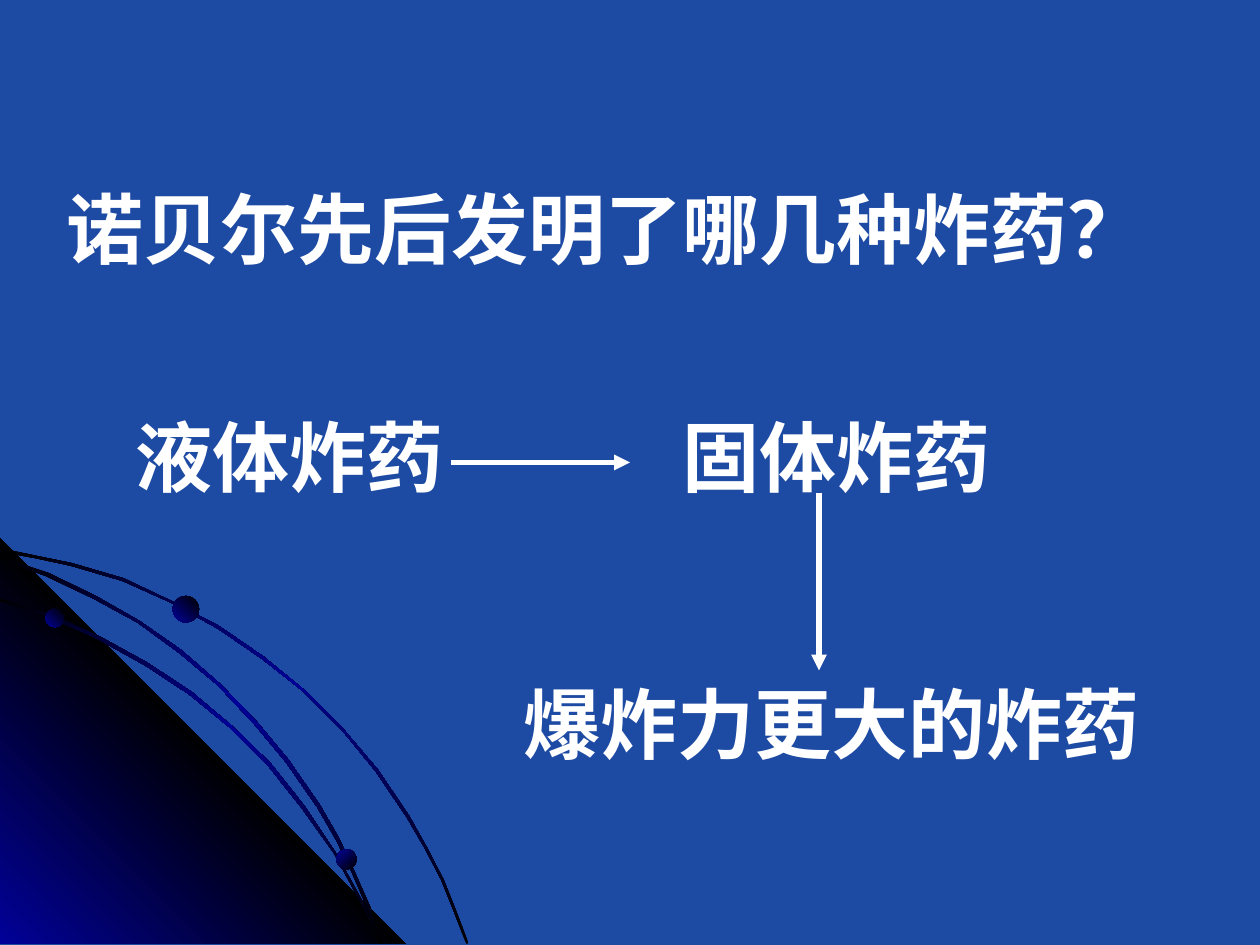
from dataclasses import dataclass

from lxml.etree import SubElement
from pptx import Presentation
from pptx.dml.color import RGBColor as Color
from pptx.enum.shapes import MSO_CONNECTOR as Connector, MSO_SHAPE as Shape
from pptx.enum.text import MSO_AUTO_SIZE as AutoSize
from pptx.oxml.ns import qn
from pptx.util import Inches, Pt

Point = tuple[float, float]


@dataclass(frozen=True)
class Theme:
    background: str = "1D4AA3"
    ink: str = "FFFFFF"
    dark: str = "000000"
    glow: str = "010199"
    cjk_font: str = "Noto Sans CJK SC"
    latin_font: str = "Arial"
    text_size: int = 44
    arrow_width: int = 3


@dataclass(frozen=True)
class Gradient:
    colors: tuple[str, ...]
    angle: int


@dataclass(frozen=True)
class Outline:
    points: tuple[Point, ...]
    gradient: Gradient


@dataclass(frozen=True)
class Ball:
    left: float
    top: float
    size: float
    angle: int


@dataclass(frozen=True)
class Label:
    text: str
    left: float
    top: float
    width: float
    font: str


@dataclass(frozen=True)
class Arrow:
    start: Point
    end: Point


THEME = Theme()
LABEL_HEIGHT = 0.84
ARC = Gradient((THEME.dark, THEME.glow, THEME.dark), 225)
CORNER = Gradient((THEME.glow, THEME.dark, THEME.glow), 135)

OUTLINES = (
    Outline((
        (0.57, 4.47), (0.28, 4.41), (0, 4.35), (0, 4.38), (0.28, 4.43), (0.56, 4.49),
        (0.97, 4.61), (1.35, 4.78), (1.73, 4.99), (2.08, 5.23), (2.41, 5.49),
        (2.71, 5.79), (2.98, 6.12), (3.23, 6.49), (3.37, 6.73), (3.5, 6.98),
        (3.6, 7.23), (3.7, 7.49), (3.72, 7.49), (3.62, 7.23), (3.52, 6.98),
        (3.39, 6.73), (3.25, 6.48), (3, 6.11), (2.72, 5.78), (2.42, 5.48),
        (2.09, 5.21), (1.74, 4.97), (1.36, 4.77), (0.98, 4.59),
    ), ARC),
    Outline(((3.22, 7.49), (0, 7.49), (0, 4.27)), CORNER),
    Outline((
        (2.85, 7.14), (2.94, 7.32), (3.01, 7.49), (3.03, 7.49), (2.96, 7.3),
        (2.86, 7.12), (2.66, 6.76), (2.42, 6.4), (2.15, 6.06), (1.84, 5.76),
        (1.52, 5.49), (1.17, 5.26), (0.79, 5.05), (0.41, 4.88), (0, 4.75), (0, 4.77),
        (0.39, 4.9), (0.77, 5.07), (1.15, 5.28), (1.5, 5.51), (1.83, 5.78),
        (2.13, 6.08), (2.4, 6.42), (2.65, 6.77),
    ), ARC),
    Outline((
        (0, 4.42), (0, 4.44), (0.36, 4.57), (0.74, 4.75), (1.09, 4.94), (1.42, 5.18),
        (1.73, 5.44), (2.02, 5.75), (2.27, 6.05), (2.52, 6.41), (2.67, 6.67),
        (2.8, 6.94), (2.92, 7.22), (3.01, 7.49), (3.03, 7.49), (2.94, 7.2),
        (2.82, 6.93), (2.69, 6.65), (2.54, 6.39), (2.29, 6.03), (2.04, 5.73),
        (1.75, 5.43), (1.44, 5.16), (1.11, 4.93), (0.76, 4.73), (0.39, 4.55),
    ), ARC),
)
BALLS = (
    Ball(0.36, 4.83, 0.15, 135),
    Ball(2.67, 6.74, 0.16, 225),
    Ball(1.37, 4.73, 0.21, 135),
)
LABELS = (
    Label("诺贝尔先后发明了哪几种炸药？", 0.43, 1.39, 8.98, THEME.cjk_font),
    Label("液体炸药", 0.98, 3.2, 3.07, THEME.latin_font),
    Label("固体炸药", 5.32, 3.2, 2.7, THEME.latin_font),
    Label("爆炸力更大的炸药", 4.06, 5.32, 5.15, THEME.latin_font),
)
ARROWS = (Arrow((3.58, 3.67), (5, 3.67)), Arrow((6.5, 3.91), (6.5, 5.32)))


def paint(shape, gradient: Gradient) -> None:
    shape.shadow.inherit = False
    shape.line.fill.background()
    shape.fill.gradient()
    fill = shape.fill._fill._gradFill
    for child in list(fill):
        fill.remove(child)
    stops = SubElement(fill, qn("a:gsLst"))
    for index, color in enumerate(gradient.colors):
        position = 100000 * index // (len(gradient.colors) - 1)
        stop = SubElement(stops, qn("a:gs"), pos=str(position))
        SubElement(stop, qn("a:srgbClr"), val=color)
    SubElement(fill, qn("a:lin"), ang=str(gradient.angle * 60000), scaled="0")


def draw_outline(page, outline: Outline) -> None:
    points = [(Inches(x), Inches(y)) for x, y in outline.points]
    builder = page.shapes.build_freeform(*points[0])
    builder.add_line_segments(points[1:], close=True)
    paint(builder.convert_to_shape(), outline.gradient)


def draw_ball(page, ball: Ball) -> None:
    size = Inches(ball.size)
    shape = page.shapes.add_shape(
        Shape.OVAL, Inches(ball.left), Inches(ball.top), size, size)
    paint(shape, Gradient((THEME.dark, THEME.glow), ball.angle))


def draw_label(page, label: Label) -> None:
    box = page.shapes.add_textbox(
        Inches(label.left), Inches(label.top), Inches(label.width), Inches(LABEL_HEIGHT))
    frame = box.text_frame
    frame.text = label.text
    frame.word_wrap = True
    frame.auto_size = AutoSize.SHAPE_TO_FIT_TEXT
    span = frame.paragraphs[0].runs[0]
    span.font.size = Pt(THEME.text_size)
    span.font.bold = True
    span.font.color.rgb = Color.from_string(THEME.ink)
    span.font.name = label.font
    SubElement(span.font._element, qn("a:ea"), typeface=THEME.cjk_font)


def draw_arrow(page, arrow: Arrow) -> None:
    ends = [Inches(value) for value in (*arrow.start, *arrow.end)]
    connector = page.shapes.add_connector(Connector.STRAIGHT, *ends)
    connector.line.color.rgb = Color.from_string(THEME.ink)
    connector.line.width = Pt(THEME.arrow_width)
    SubElement(connector.line._get_or_add_ln(), qn("a:tailEnd"), type="triangle")
    SubElement(connector._element.spPr, qn("a:effectLst"))


def main() -> None:
    deck = Presentation()
    deck.slide_width, deck.slide_height = Inches(10), Inches(7.5)
    page = deck.slides.add_slide(deck.slide_layouts[6])
    page.background.fill.solid()
    page.background.fill.fore_color.rgb = Color.from_string(THEME.background)
    for outline in OUTLINES:
        draw_outline(page, outline)
    for ball in BALLS:
        draw_ball(page, ball)
    for label in LABELS:
        draw_label(page, label)
    for arrow in ARROWS:
        draw_arrow(page, arrow)
    deck.save("out.pptx")


if __name__ == "__main__":
    main()
